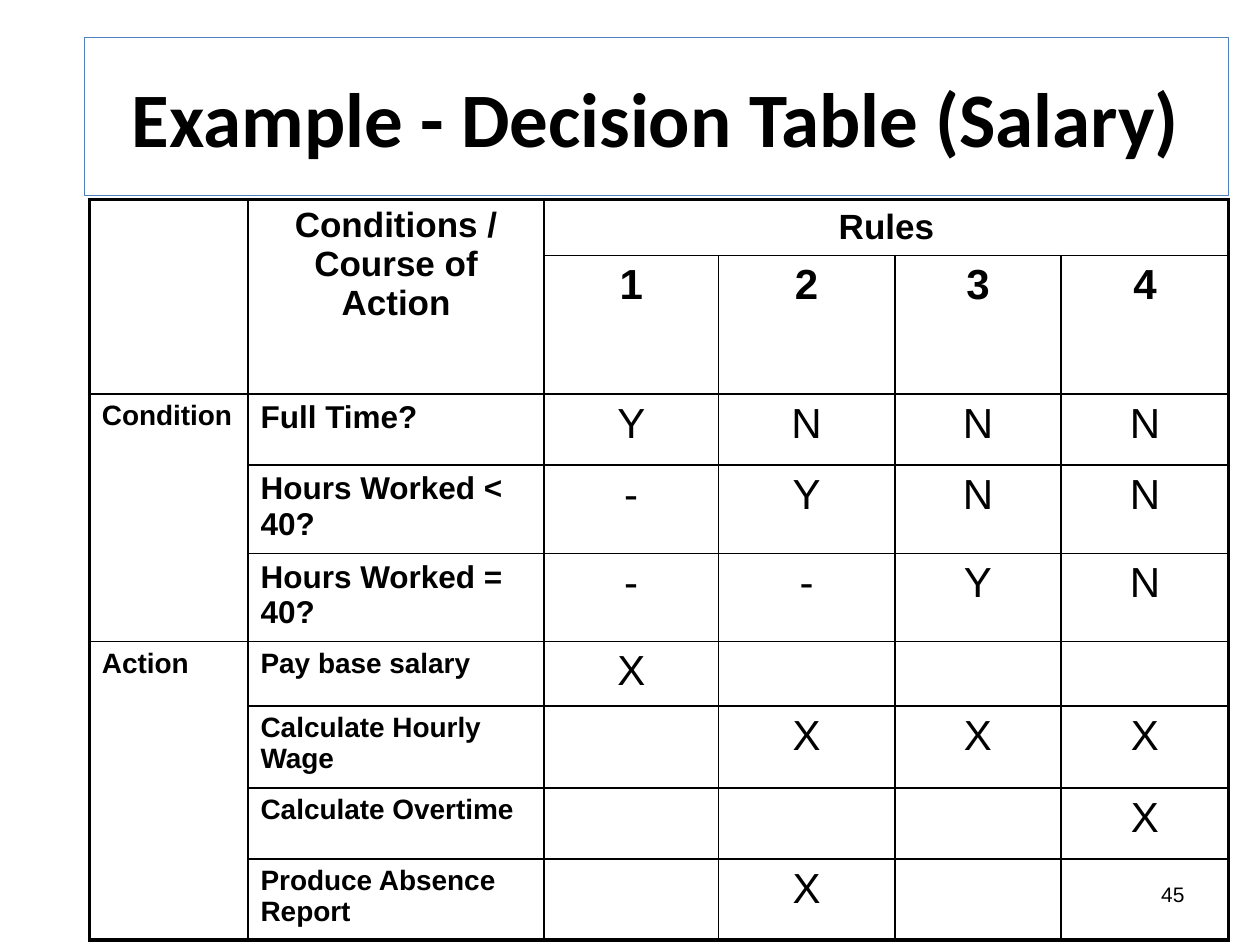
from lxml.etree import SubElement
from pptx import Presentation
from pptx.dml.color import RGBColor
from pptx.enum.text import MSO_ANCHOR, MSO_AUTO_SIZE, PP_ALIGN
from pptx.oxml.ns import qn
from pptx.util import Cm, Pt

COLORS = {"text": "000000", "border": "000000", "title_line": "4F81BD"}
COLUMN_WIDTHS = [3.2, 5.97, 3.51, 3.56, 3.35, 3.38]
ROW_HEIGHTS = [1.13, 2.62, 1.43, 1.67, 1.67, 1.3, 1.65, 1.43, 1.64]
RULES = ["1", "2", "3", "4"]
CONDITIONS = [
    ("Full Time?", "YNNN"),
    ("Hours Worked < 40?", "-YNN"),
    ("Hours Worked = 40?", "--YN"),
]
ACTIONS = [
    ("Pay base salary", "X   "),
    ("Calculate Hourly Wage", " XXX"),
    ("Calculate Overtime", "   X"),
    ("Produce Absence Report", " X  "),
]
FIRST_CONDITION = 2
FIRST_ACTION = FIRST_CONDITION + len(CONDITIONS)


def write_text(frame, text, size, bold=False, align=PP_ALIGN.LEFT, font="Arial"):
    """Fill a text frame with one formatted paragraph."""
    frame.text = text
    para = frame.paragraphs[0]
    para.alignment = align
    for span in para.runs:
        span.font.name = font
        span.font.size = Pt(size)
        span.font.bold = bold
        span.font.color.rgb = RGBColor.from_string(COLORS["text"])


def add_title(page, text):
    """Place and format the title placeholder."""
    title = page.shapes.title
    title.left, title.top, title.width, title.height = Cm(1.7), Cm(0.76), Cm(23.06), Cm(3.18)
    title.line.color.rgb = RGBColor.from_string(COLORS["title_line"])
    title.line.width = Pt(0.75)
    frame = title.text_frame
    frame.word_wrap = True
    frame.auto_size = MSO_AUTO_SIZE.NONE
    frame.vertical_anchor = MSO_ANCHOR.MIDDLE
    write_text(frame, text, 44, True, PP_ALIGN.CENTER, "Calibri")


def add_page_number(page, number):
    """Add the page number at the lower right."""
    box = page.shapes.add_textbox(Cm(18.2), Cm(17.65), Cm(5.93), Cm(1.02))
    box.text_frame.word_wrap = True
    write_text(box.text_frame, number, 12, align=PP_ALIGN.RIGHT)


def set_borders(cell, widths):
    """Draw the cell's borders from a mapping of side to width in points."""
    properties = cell._tc.get_or_add_tcPr()
    for index, side in enumerate("LRTB"):
        line = SubElement(properties, qn(f"a:ln{side}"), w=str(Pt(widths[side])))
        fill = SubElement(line, qn("a:solidFill"))
        SubElement(fill, qn("a:srgbClr"), val=COLORS["border"])
        properties.insert(index, line)


def outline_table(table):
    """Clear the fills and give the table a thick frame and thin inner lines."""
    row_count, column_count = len(table.rows), len(table.columns)
    for row in range(row_count):
        for column in range(column_count):
            cell = table.cell(row, column)
            cell.fill.background()
            at_edge = {
                "L": column == 0,
                "R": column + cell.span_width == column_count,
                "T": row == 0,
                "B": row + cell.span_height == row_count,
            }
            set_borders(cell, {side: 2.25 if edge else 1 for side, edge in at_edge.items()})


def add_grid(page):
    """Add the empty decision table with its merged cells."""
    frame = page.shapes.add_table(
        len(ROW_HEIGHTS), len(COLUMN_WIDTHS), Cm(1.8), Cm(4.02),
        Cm(sum(COLUMN_WIDTHS)), Cm(sum(ROW_HEIGHTS)),
    )
    table = frame.table
    table.first_row = table.horz_banding = False
    for column, width in zip(table.columns, COLUMN_WIDTHS):
        column.width = Cm(width)
    for row, height in zip(table.rows, ROW_HEIGHTS):
        row.height = Cm(height)
    last_row, last_column = len(ROW_HEIGHTS) - 1, len(COLUMN_WIDTHS) - 1
    for start, end in [
        ((0, 0), (1, 0)),
        ((0, 1), (1, 1)),
        ((0, 2), (0, last_column)),
        ((FIRST_CONDITION, 0), (FIRST_ACTION - 1, 0)),
        ((FIRST_ACTION, 0), (last_row, 0)),
    ]:
        table.cell(*start).merge(table.cell(*end))
    outline_table(table)
    return table


def fill_header(table):
    """Write the column headings and the rule numbers."""
    write_text(table.cell(0, 1).text_frame, "Conditions / Course of Action", 20, True, PP_ALIGN.CENTER)
    rules = table.cell(0, 2)
    rules.vertical_anchor = MSO_ANCHOR.MIDDLE
    write_text(rules.text_frame, "Rules", 20, True, PP_ALIGN.CENTER)
    for column, rule in enumerate(RULES, 2):
        write_text(table.cell(1, column).text_frame, rule, 24, True, PP_ALIGN.CENTER)


def fill_group(table, first_row, heading, entries, size):
    """Write one group of labelled rows with a mark for each rule."""
    write_text(table.cell(first_row, 0).text_frame, heading, 16, True)
    for row, (label, marks) in enumerate(entries, first_row):
        write_text(table.cell(row, 1).text_frame, label, size, True)
        for column, mark in enumerate(marks, 2):
            write_text(table.cell(row, column).text_frame, mark.strip(), 24, align=PP_ALIGN.CENTER)


def main():
    """Build the decision table slide."""
    deck = Presentation()
    deck.slide_width, deck.slide_height = Cm(25.4), Cm(19.05)
    page = deck.slides.add_slide(deck.slide_layouts[5])
    add_page_number(page, "45")
    add_title(page, "Example - Decision Table (Salary)")
    table = add_grid(page)
    fill_header(table)
    fill_group(table, FIRST_CONDITION, "Condition", CONDITIONS, 18)
    fill_group(table, FIRST_ACTION, "Action", ACTIONS, 16)
    deck.save("out.pptx")


if __name__ == "__main__":
    main()
